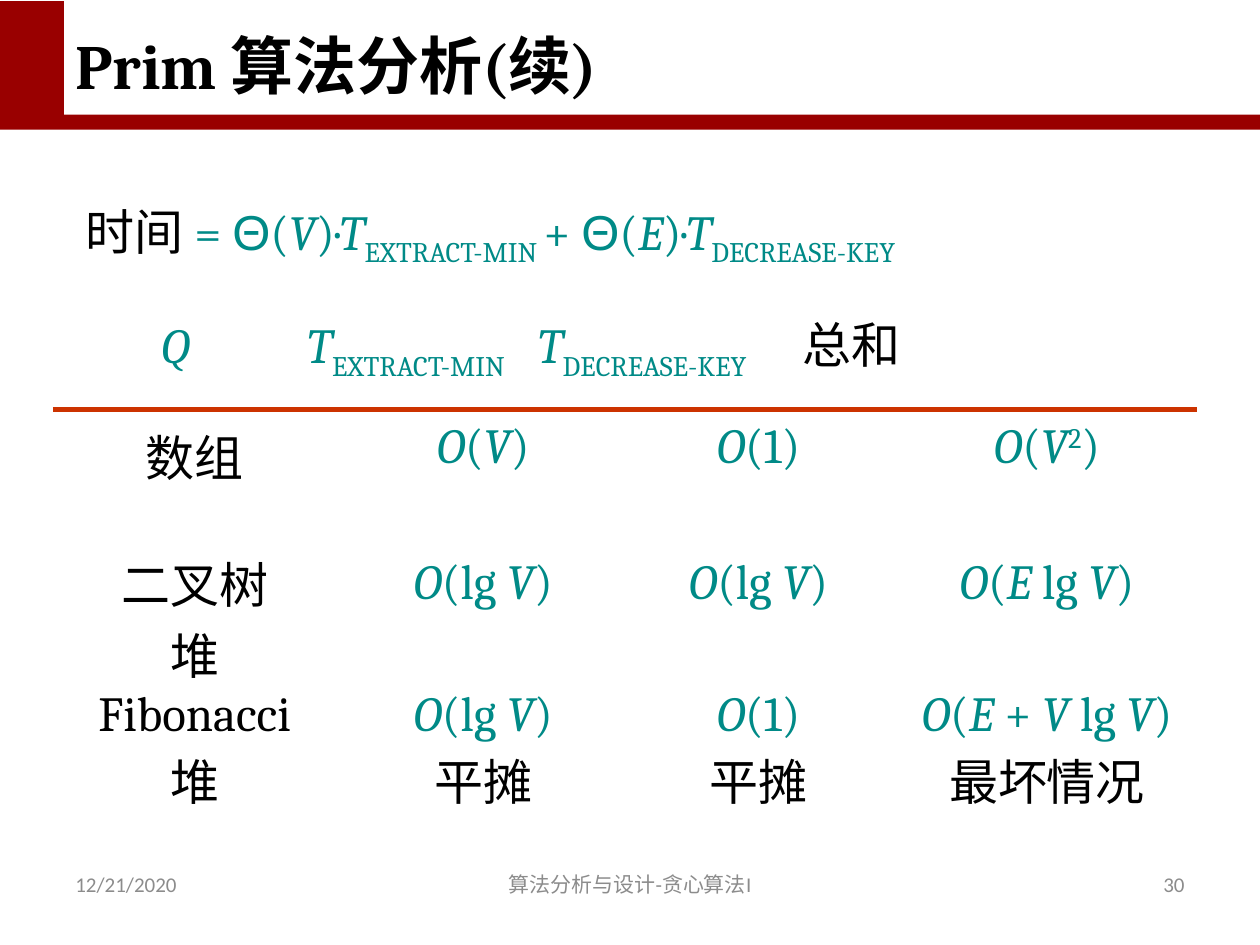
from dataclasses import dataclass

from lxml import etree
from pptx import Presentation
from pptx.dml.color import RGBColor
from pptx.enum import shapes, text
from pptx.oxml import ns
from pptx.util import Inches, Pt


@dataclass(frozen=True)
class Theme:
    red: str = "990000"
    rule: str = "CC3300"
    teal: str = "008A87"
    black: str = "000000"
    white: str = "FFFFFF"
    gray: str = "8C8C8C"
    serif: str = "Cambria"
    sans: str = "Calibri"
    greek: str = "Arial"
    head: int = 36
    body: int = 28
    foot: int = 12


@dataclass(frozen=True)
class Box:
    left: float
    top: float
    width: float
    height: float

    def emu(self):
        return [Inches(v) for v in (self.left, self.top, self.width, self.height)]


@dataclass(frozen=True)
class Foot:
    words: str
    box: Box
    align: text.PP_ALIGN


THEME = Theme()
ALIGN = text.PP_ALIGN
SHIFT = {"~": -25000, "^": 30000}

TIME = "#时间 #= Θ(*V*)·*T*~EXTRACT-MIN ~+ Θ(*E*)·*T*~DECREASE-KEY~"
HEADS = "\t*Q*\t*T*~EXTRACT-MIN~\t*T*~DECREASE-KEY~\t#总和#"
STOPS = (0.69, 1.86, 3.69, 5.79)
COLS = (2.25, 2.33, 2.04, 2.54)
ROWS = (0.56, 1.57, 1.1)
CELLS = (
    ("#数组#", "*O*(*V*)", "*O*(1)", "*O*(*V*^2^)"),
    ("#二叉树\n堆#", "*O*(lg *V*)", "*O*(lg *V*)", "*O*(*E *lg *V*)"),
    ("#Fibonacci\n堆#", "*O*(lg *V*)\n#平摊#", "*O*(1)\n#平摊#",
     "*O*(*E *+ *V *lg *V*)\n#最坏情况#"),
)
FEET = (
    Foot("12/21/2020", Box(0.5, 6.82, 2.33, 0.4), ALIGN.LEFT),
    Foot("算法分析与设计-贪心算法I", Box(3.11, 6.82, 3.78, 0.4), ALIGN.CENTER),
    Foot("30", Box(7.17, 6.82, 2.33, 0.4), ALIGN.RIGHT),
)


def set_font(font, name: str, size: int, color: str) -> None:
    font.name, font.size = name, Pt(size)
    font.color.rgb = RGBColor.from_string(color)


def add_run(para, words: str, marks: set) -> None:
    run = para.add_run()
    run.text = words
    if "*" in marks:
        run.font.italic = True
    if "#" in marks:
        run.font.color.rgb = RGBColor.from_string(THEME.black)
    if words == "Θ":
        run.font.name = THEME.greek
    for mark in marks & SHIFT.keys():
        run._r.get_or_add_rPr().set("baseline", str(SHIFT[mark]))


def write(frame, source: str, align=ALIGN.LEFT) -> None:
    """Fill a frame; * toggles italic, # black, ~ subscript and ^ superscript."""
    marks = set()
    for index, line in enumerate(source.split("\n")):
        para = frame.add_paragraph() if index else frame.paragraphs[0]
        para.alignment = align
        words = ""
        for char in line.replace("Θ", "\0Θ\0") + "\0":
            if char not in "*#~^\0":
                words += char
                continue
            if words:
                add_run(para, words, marks)
            words = ""
            if char != "\0":
                marks ^= {char}
        set_font(para.font, THEME.serif, THEME.body, THEME.teal)
        # Runs take the paragraph look unless they carry their own.
        for run in para.runs:
            own = run.font
            color = own.color.rgb if own.color.type else THEME.teal
            set_font(own, own.name or THEME.serif, THEME.body, str(color))


def add_rect(slide, box: Box, color: str) -> None:
    rect = slide.shapes.add_shape(shapes.MSO_SHAPE.RECTANGLE, *box.emu())
    rect.shadow.inherit = False
    rect.fill.solid()
    rect.fill.fore_color.rgb = RGBColor.from_string(color)
    rect.line.fill.background()


def add_line(slide, left: float, right: float, top: float) -> None:
    line = slide.shapes.add_connector(
        shapes.MSO_CONNECTOR.STRAIGHT,
        Inches(left), Inches(top), Inches(right), Inches(top))
    line.line.color.rgb = RGBColor.from_string(THEME.rule)
    line.line.width = Pt(3)
    etree.SubElement(line._element.spPr, ns.qn("a:effectLst"))


def add_math(slide, box: Box, source: str, stops=()) -> None:
    frame = slide.shapes.add_textbox(*box.emu()).text_frame
    frame.word_wrap = True
    frame.margin_left = frame.margin_right = 0
    frame.margin_top = frame.margin_bottom = 0
    write(frame, source)
    if stops:
        props = frame.paragraphs[0]._p.get_or_add_pPr()
        tabs = etree.Element(ns.qn("a:tabLst"))
        for stop in stops:
            etree.SubElement(tabs, ns.qn("a:tab"), pos=str(Inches(stop)), algn="l")
        props.insert(0, tabs)


def add_costs(slide, left: float, top: float) -> None:
    box = Box(left, top, sum(COLS), sum(ROWS))
    table = slide.shapes.add_table(len(ROWS), len(COLS), *box.emu()).table
    table.first_row = table.horz_banding = False
    for col, width in zip(table.columns, COLS):
        col.width = Inches(width)
    for r, (row, height) in enumerate(zip(table.rows, ROWS)):
        row.height = Inches(height)
        for c, cell in enumerate(row.cells):
            cell.fill.background()
            cell.margin_top = cell.margin_bottom = 0
            if r == 1:
                cell.margin_top = Inches(0.52 if c else 0.45)
            write(cell.text_frame, CELLS[r][c], ALIGN.CENTER)


def add_title(slide, words: str) -> None:
    title = slide.shapes.title
    title.left, title.top, title.width, title.height = Box(0.5, 0.14, 9, 0.72).emu()
    frame = title.text_frame
    frame.text = words
    frame.auto_size = text.MSO_AUTO_SIZE.NONE
    frame.vertical_anchor = text.MSO_ANCHOR.BOTTOM
    para = frame.paragraphs[0]
    para.alignment = ALIGN.LEFT
    set_font(para.font, THEME.serif, THEME.head, THEME.black)
    para.font.bold = True
    slide.shapes._spTree.append(title._element)  # above the band


def add_foot(slide, foot: Foot) -> None:
    frame = slide.shapes.add_textbox(*foot.box.emu()).text_frame
    frame.word_wrap = True
    frame.vertical_anchor = text.MSO_ANCHOR.MIDDLE
    para = frame.paragraphs[0]
    para.text, para.alignment = foot.words, foot.align
    set_font(para.font, THEME.sans, THEME.foot, THEME.gray)


def main() -> None:
    deck = Presentation()
    deck.slide_width, deck.slide_height = Inches(10), Inches(7.5)
    slide = deck.slides.add_slide(deck.slide_layouts[5])
    add_rect(slide, Box(0, 0.01, 10, 1.02), THEME.red)
    add_rect(slide, Box(0.51, 0, 9.49, 0.91), THEME.white)
    add_math(slide, Box(0.68, 1.6, 8.4, 0.57), TIME)
    add_math(slide, Box(0.58, 2.5, 8.92, 0.57), HEADS, STOPS)
    add_line(slide, 0.42, 9.5, 3.25)
    add_costs(slide, 0.42, 3.33)
    add_title(slide, "Prim 算法分析(续)")
    for foot in FEET:
        add_foot(slide, foot)
    deck.save("out.pptx")


if __name__ == "__main__":
    main()
